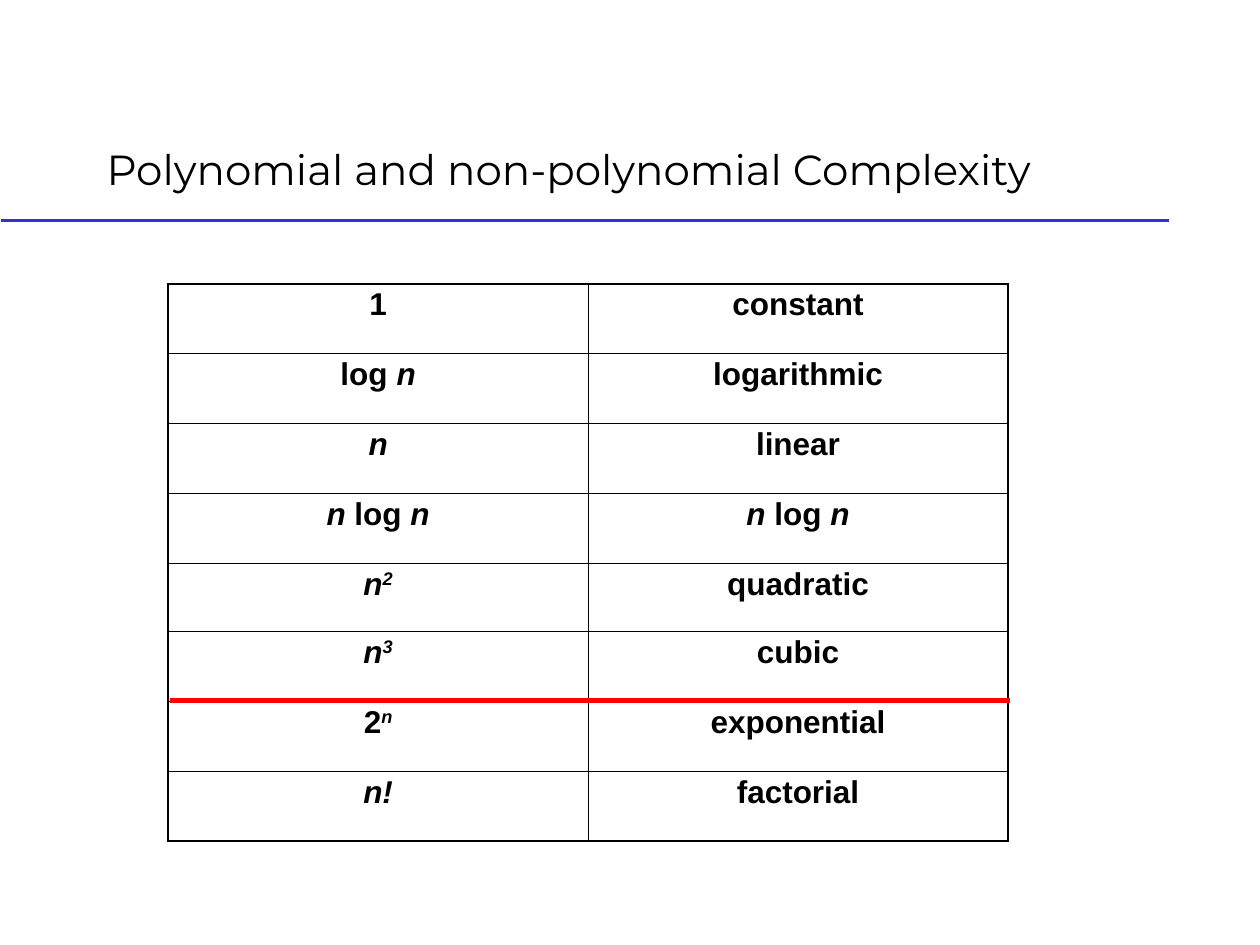
from lxml import etree
from pptx import Presentation
from pptx.dml.color import RGBColor
from pptx.enum.shapes import MSO_CONNECTOR
from pptx.enum.text import MSO_ANCHOR, PP_ALIGN
from pptx.oxml.ns import qn
from pptx.util import Cm, Pt

STRAIGHT = MSO_CONNECTOR.STRAIGHT
BOTTOM = MSO_ANCHOR.BOTTOM
CENTER = PP_ALIGN.CENTER

BLACK, BLUE, RED = "000000", "3333CC", "FF0000"
OUTER_BORDER, INNER_BORDER = Pt(1.08), Pt(0.45)
ROW_HEIGHT, QUADRATIC_ROW_HEIGHT = Cm(1.41), Cm(1.37)
QUADRATIC_ROW = 4

# Each cell is a list of (text, style): "i" is italic, "^" is superscript
N_LOG_N = [("n ", "i"), ("log ", ""), ("n", "i")]
COMPLEXITIES = [
    ([("1", "")], [("constant", "")]),
    ([("log ", ""), ("n", "i")], [("logarithmic", "")]),
    ([("n", "i")], [("linear", "")]),
    (N_LOG_N, N_LOG_N),
    ([("n", "i"), ("2", "i^")], [("quadratic", "")]),
    ([("n", "i"), ("3", "i^")], [("cubic", "")]),
    ([("2", ""), ("n", "i^")], [("exponential", "")]),
    ([("n!", "i")], [("factorial", "")]),
]


def color(hex_string):
    return RGBColor.from_string(hex_string)


def format_run(run, font_name, size, bold=False, style=""):
    run.font.name = font_name
    run.font.size = Pt(size)
    run.font.bold = bold
    run.font.italic = "i" in style
    run.font.color.rgb = color(BLACK)
    if "^" in style:
        run._r.get_or_add_rPr().set("baseline", "30000")


def add_title(slide, text):
    shape = slide.shapes.add_textbox(Cm(1.9), Cm(1.7), Cm(21.59), Cm(2.34))
    text_frame = shape.text_frame
    text_frame.word_wrap = True
    text_frame.vertical_anchor = BOTTOM
    text_frame.text = text
    format_run(text_frame.paragraphs[0].runs[0], "Montserrat", 24)


def add_rule(slide, left, right, top, hex_string, width):
    connector = slide.shapes.add_connector(STRAIGHT, left, top, right, top)
    connector.line.color.rgb = color(hex_string)
    connector.line.width = Pt(width)
    etree.SubElement(connector._element.spPr, qn("a:effectLst"))


def set_borders(cell, outer_sides):
    properties = cell._tc.get_or_add_tcPr()
    for side in "LRTB":
        width = OUTER_BORDER if side in outer_sides else INNER_BORDER
        border = etree.SubElement(properties, qn(f"a:ln{side}"), w=str(int(width)))
        fill = etree.SubElement(border, qn("a:solidFill"))
        etree.SubElement(fill, qn("a:srgbClr"), val=BLACK)


def fill_cell(cell, pieces):
    paragraph = cell.text_frame.paragraphs[0]
    paragraph.alignment = CENTER
    paragraph.line_spacing = 0.9
    for text, style in pieces:
        run = paragraph.add_run()
        run.text = text
        format_run(run, "Arial", 18, bold=True, style=style)


def add_complexity_table(slide):
    row_count = len(COMPLEXITIES)
    table = slide.shapes.add_table(
        row_count, 2, Cm(3.39), Cm(5.72), Cm(16.93), ROW_HEIGHT * row_count
    ).table
    table.first_row = False
    table.horz_banding = False
    for row_index, row_content in enumerate(COMPLEXITIES):
        is_quadratic = row_index == QUADRATIC_ROW
        table.rows[row_index].height = QUADRATIC_ROW_HEIGHT if is_quadratic else ROW_HEIGHT
        for column_index, pieces in enumerate(row_content):
            cell = table.cell(row_index, column_index)
            fill_cell(cell, pieces)
            outer_sides = "LR"[column_index]
            if row_index == 0:
                outer_sides += "T"
            if row_index == row_count - 1:
                outer_sides += "B"
            set_borders(cell, outer_sides)
            cell.fill.background()


def main():
    presentation = Presentation()
    presentation.slide_width = Cm(25.4)
    presentation.slide_height = Cm(19.05)
    slide = presentation.slides.add_slide(presentation.slide_layouts[6])

    # Heading with its rule
    add_rule(slide, Cm(0.03), Cm(23.57), Cm(4.45), BLUE, 1.5)
    add_title(slide, "Polynomial and non-polynomial Complexity")

    # Complexity classes, with the limit of polynomial growth in red
    add_complexity_table(slide)
    add_rule(slide, Cm(3.43), Cm(20.37), Cm(14.12), RED, 3.25)

    presentation.save("out.pptx")


if __name__ == "__main__":
    main()
